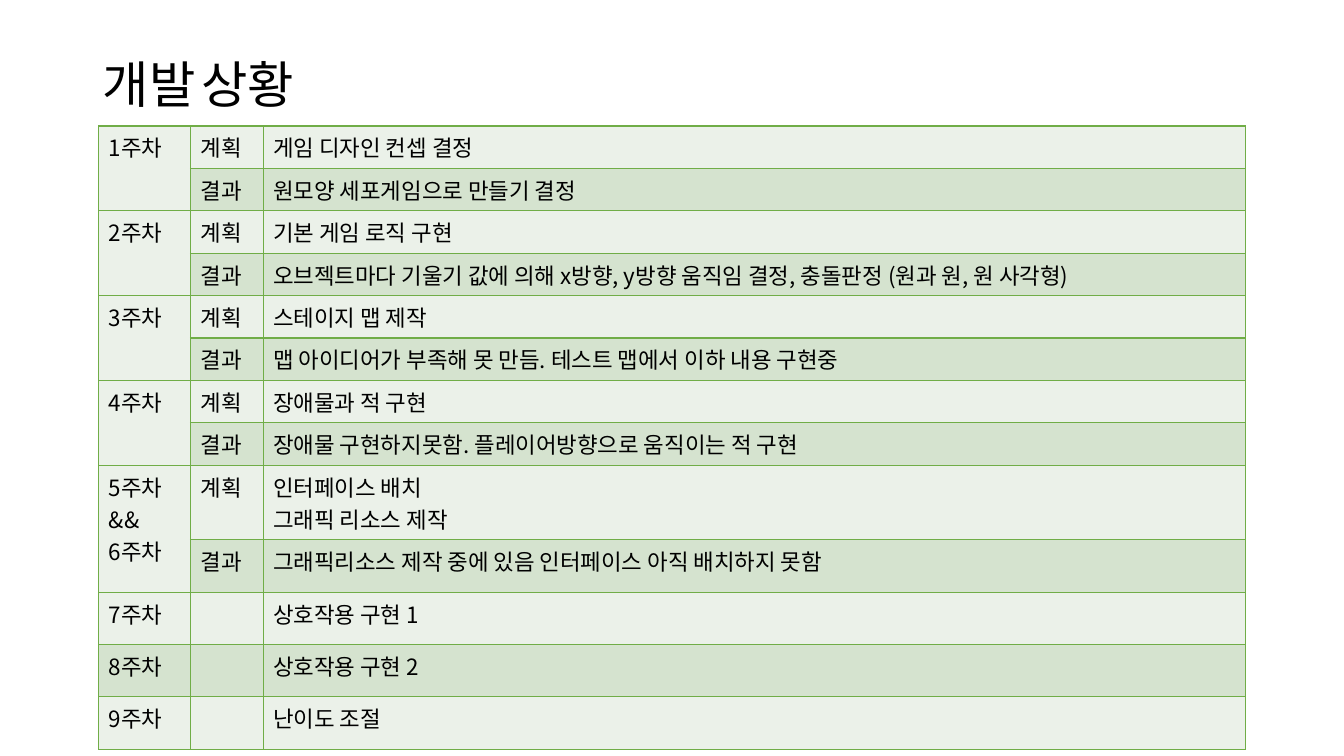
from lxml import etree
from pptx import Presentation
from pptx.dml.color import RGBColor
from pptx.enum.text import MSO_ANCHOR, MSO_AUTO_SIZE, PP_ALIGN
from pptx.oxml.ns import qn
from pptx.util import Inches, Pt

LEFT = PP_ALIGN.LEFT
TOP = MSO_ANCHOR.TOP
FIT_SHAPE = MSO_AUTO_SIZE.SHAPE_TO_FIT_TEXT
TITLE_ONLY = 5

FONT = "Noto Sans CJK KR"
COLORS = {"text": "000000", "light": "EBF1E9", "dark": "D5E3CF", "border": "70AD47"}

# Each week: its label, then (stage, content) rows; a list holds several paragraphs.
WEEKS = [
    (["1주차"], [("계획", ["게임 디자인 컨셉 결정"]),
               ("결과", ["원모양 세포게임으로 만들기 결정"])]),
    (["2주차"], [("계획", ["기본 게임 로직 구현"]),
               ("결과", ["오브젝트마다 기울기 값에 의해 x방향, y방향 움직임 결정, "
                       "충돌판정 (원과 원, 원 사각형)"])]),
    (["3주차"], [("계획", ["스테이지 맵 제작"]),
               ("결과", ["맵 아이디어가 부족해 못 만듬. 테스트 맵에서 이하 내용 구현중"])]),
    (["4주차"], [("계획", ["장애물과 적 구현"]),
               ("결과", ["장애물 구현하지못함. 플레이어방향으로 움직이는 적 구현"])]),
    (["5주차", "&&", "6주차"], [
        ("계획", ["인터페이스 배치", "그래픽 리소스 제작"]),
        ("결과", ["그래픽리소스 제작 중에 있음 인터페이스 아직 배치하지 못함"])]),
    (["7주차"], [("", ["상호작용 구현 1"])]),
    (["8주차"], [("", ["상호작용 구현 2"])]),
    (["9주차"], [("", ["난이도 조절"])]),
]
# Percentages of the slide's width and height.
COLUMN_WIDTHS = [6.83, 5.4, 73.07]
ROW_HEIGHTS = [5.61] * 8 + [9.87] + [6.93] * 4


class SlideBuilder:
    """Holds the style and the current slide; lengths are percentages of the slide."""

    def __init__(self, deck):
        """Add a slide with a title to the deck."""
        self.deck = deck
        self.slide = deck.slides.add_slide(deck.slide_layouts[TITLE_ONLY])

    def across(self, share):
        """Turn a share of the slide's width into a length."""
        return round(self.deck.slide_width * share / 100)

    def down(self, share):
        """Turn a share of the slide's height into a length."""
        return round(self.deck.slide_height * share / 100)

    def add_span(self, para, text, size):
        """Add one run in the common font and colour."""
        span = para.add_run()
        span.text = text
        span.font.size = Pt(size)
        span.font.name = FONT
        span.font.color.rgb = RGBColor.from_string(COLORS["text"])
        properties = span.font._element
        etree.SubElement(properties, qn("a:ea"), typeface=FONT)

    def title(self, spans, left, top, width, height):
        """Move the title placeholder and fill it with (text, size) runs."""
        box = self.slide.shapes.title
        box.left, box.top = self.across(left), self.down(top)
        box.width, box.height = self.across(width), self.down(height)
        frame = box.text_frame
        frame.word_wrap = False
        frame.auto_size = FIT_SHAPE
        frame.vertical_anchor = TOP
        para = frame.paragraphs[0]
        para.alignment = LEFT
        for text, size in spans:
            self.add_span(para, text, size)

    def style_cell(self, cell, fill):
        """Give a cell its four borders and its fill."""
        properties = cell._tc.get_or_add_tcPr()
        for side in ("lnL", "lnR", "lnT", "lnB"):
            line = etree.SubElement(properties, qn(f"a:{side}"), w=str(Pt(1)))
            solid = etree.SubElement(line, qn("a:solidFill"))
            etree.SubElement(solid, qn("a:srgbClr"), val=COLORS["border"])
        cell.fill.solid()
        cell.fill.fore_color.rgb = RGBColor.from_string(COLORS[fill])

    def write_cell(self, cell, lines):
        """Write one paragraph per line into a cell."""
        frame = cell.text_frame
        for index, text in enumerate(lines):
            para = frame.add_paragraph() if index else frame.paragraphs[0]
            self.add_span(para, text, 16)

    def schedule(self, weeks, left, top, widths, heights):
        """Add the table of weeks, each label merged over its own rows."""
        table = self.slide.shapes.add_table(
            len(heights), len(widths), self.across(left), self.down(top),
            self.across(sum(widths)), self.down(sum(heights))).table
        table.first_row = table.horz_banding = False
        for column, width in zip(table.columns, widths):
            column.width = self.across(width)
        for index, height in enumerate(heights):
            table.rows[index].height = self.down(height)
            for cell in table.rows[index].cells:
                self.style_cell(cell, "dark" if index % 2 else "light")
        row = 0
        for label, stages in weeks:
            first = table.cell(row, 0)
            self.write_cell(first, label)
            if len(stages) > 1:
                first.merge(table.cell(row + len(stages) - 1, 0))
            for stage, content in stages:
                if stage:
                    self.write_cell(table.cell(row, 1), [stage])
                self.write_cell(table.cell(row, 2), content)
                row += 1


deck = Presentation()
deck.slide_width, deck.slide_height = Inches(13.33), Inches(7.5)
builder = SlideBuilder(deck)
builder.title([("개발", 36), (" ", 18), ("상황", 36)], 6.9, 6.4, 17.33, 9.47)
builder.schedule(WEEKS, 7.35, 16.67, COLUMN_WIDTHS, ROW_HEIGHTS)
deck.save("out.pptx")
